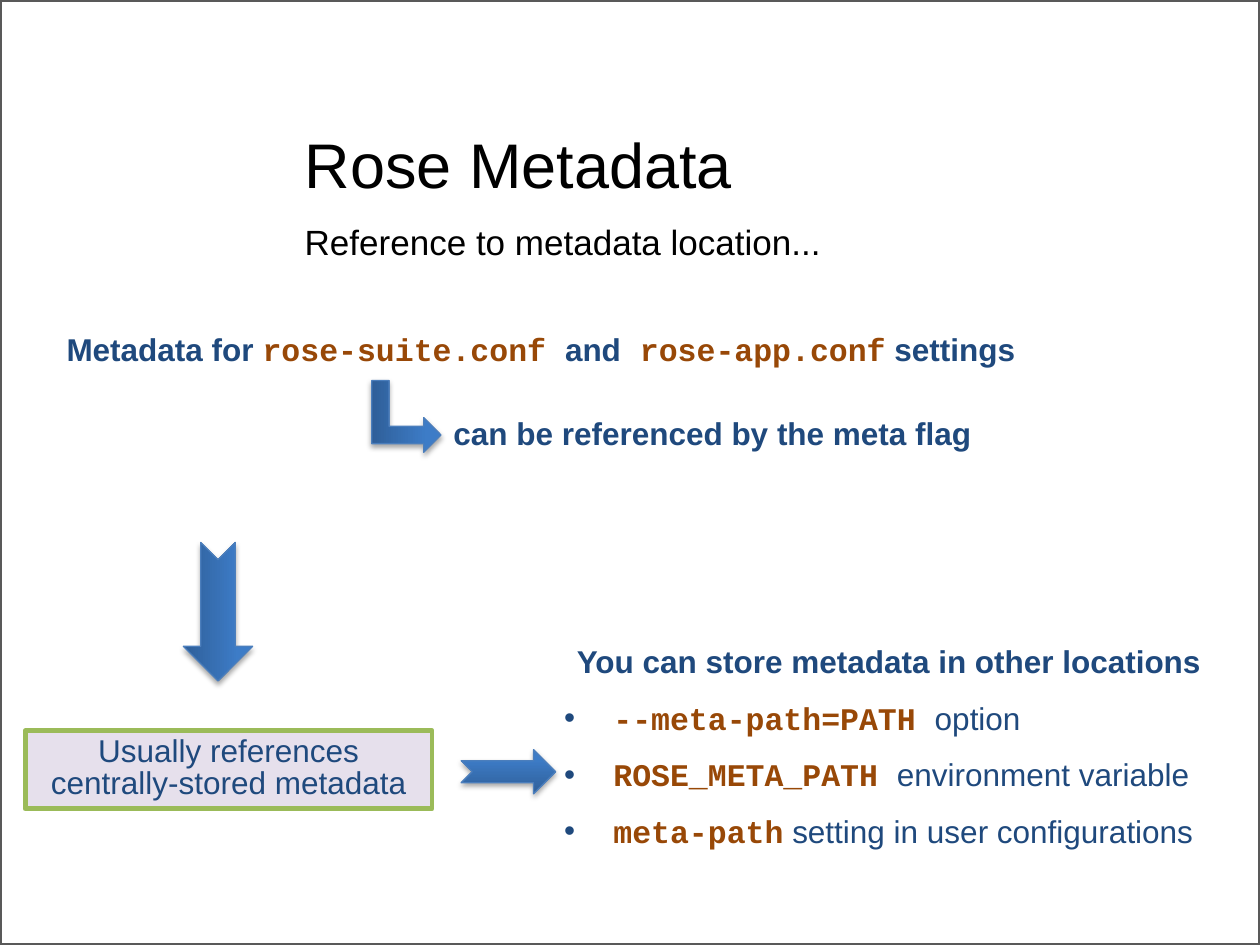
from lxml.etree import SubElement
from pptx import Presentation
from pptx.dml.color import RGBColor
from pptx.enum.shapes import MSO_SHAPE
from pptx.enum.text import MSO_ANCHOR, PP_ALIGN
from pptx.oxml.ns import qn
from pptx.util import Inches, Pt

BLACK, NAVY, BROWN = "000000", "1F497D", "984807"


def color(value):
    """Turn a hex string into a colour."""
    return RGBColor.from_string(value)


def label(text, bold=True):
    """Describe a navy run of body text."""
    return text, "Arial", NAVY, bold


def code(text):
    """Describe a bold brown run of code."""
    return text, "Courier New", BROWN, True


def fill_paragraph(paragraph, runs, size=18, line_spacing=None):
    """Write formatted runs into a paragraph."""
    if line_spacing:
        paragraph.line_spacing = line_spacing
    for text, font_name, hex_color, bold in runs:
        run = paragraph.add_run()
        run.text = text
        run.font.name = font_name
        run.font.size = Pt(size)
        run.font.bold = bold
        run.font.color.rgb = color(hex_color)


def add_text(slide, box, runs, size=18, line_spacing=None, anchor=MSO_ANCHOR.TOP):
    """Add a wrapped text box and return its frame."""
    frame = slide.shapes.add_textbox(*map(Inches, box)).text_frame
    frame.word_wrap = True
    frame.vertical_anchor = anchor
    fill_paragraph(frame.paragraphs[0], runs, size, line_spacing)
    return frame


def add_rectangle(slide, box, line, width, fill=None):
    """Add an outlined rectangle without a shadow."""
    shape = slide.shapes.add_shape(MSO_SHAPE.RECTANGLE, *map(Inches, box))
    shape.shadow.inherit = False
    if fill:
        shape.fill.solid()
        shape.fill.fore_color.rgb = color(fill)
    else:
        shape.fill.background()
    shape.line.color.rgb = color(line)
    shape.line.width = Pt(width)
    return shape


def add_arrow(slide, kind, box, rotation=0):
    """Add a blue gradient arrow with a soft shadow."""
    shape = slide.shapes.add_shape(kind, *map(Inches, box))
    shape.rotation = rotation
    shape.fill.gradient()
    shape.fill.gradient_angle = 90
    stops = shape.fill.gradient_stops
    for stop, position, value in zip(stops, (0, 0.8), ("2F5F99", "3D7CC7")):
        stop.position = position
        stop.color.rgb = color(value)
    shape.line.color.rgb = color("4B7EBC")
    shape.line.width = Pt(0.75)
    shape.shadow.inherit = False
    effects = shape._element.spPr.find(qn("a:effectLst"))
    shadow = SubElement(effects, qn("a:outerShdw"), blurRad=str(Pt(3.1)),
                        dist=str(Pt(1.8)), dir="5400000", rotWithShape="0")
    shadow_color = SubElement(shadow, qn("a:srgbClr"), val=BLACK)
    SubElement(shadow_color, qn("a:alpha"), val="35000")


def add_heading(slide, left, top, width):
    """Add the title and the subtitle."""
    add_text(slide, (left, top, width, 1.02), [("Rose Metadata", "Arial", BLACK, False)],
             36, 0.85, MSO_ANCHOR.BOTTOM)
    subtitle = add_text(slide, (left, top + 1.06, width, 0.55),
                        [("Reference to metadata location...", "Arial", BLACK, False)], 20, 0.9)
    subtitle.margin_top = Inches(0.1)


def add_reference(slide, left, top, width):
    """Add the statement on settings and its bent arrow."""
    add_text(slide, (left, top, width, 0.4),
             [label("Metadata for "), code("rose-suite.conf "), label("and"),
              code(" rose-app.conf"), label(" settings")])
    add_text(slide, (left + 3.07, top + 0.71, 5, 0.36),
             [label("can be referenced by the meta flag")], line_spacing=0.85)
    add_arrow(slide, MSO_SHAPE.BENT_UP_ARROW, (left + 2.51, top + 0.46, 0.57, 0.55), 90)


def add_central_store(slide, left, top, width, height):
    """Add the boxed note on central metadata."""
    shape = add_rectangle(slide, (left, top, width, height), "9BBB59", 2.75, "E6E0EC")
    frame = shape.text_frame
    frame.word_wrap = True
    frame.vertical_anchor = MSO_ANCHOR.TOP
    paragraph = frame.paragraphs[0]
    paragraph.alignment = PP_ALIGN.CENTER
    fill_paragraph(paragraph, [label("Usually references centrally-stored metadata", False)],
                   line_spacing=0.85)


def add_other_locations(slide, left, top, width, height):
    """Add the bulleted list of other metadata locations."""
    frame = add_text(slide, (left, top, width, height),
                     [label("You can store metadata in other locations")], line_spacing=0.85)
    frame.paragraphs[0]._p.get_or_add_pPr().set("marL", str(Inches(0.35)))
    options = [("--meta-path=PATH ", "option"),
               ("ROSE_META_PATH ", "environment variable"),
               ("meta-path", " setting in user configurations")]
    for name, description in options:
        paragraph = frame.add_paragraph()
        properties = paragraph._p.get_or_add_pPr()
        properties.set("marL", str(Inches(0.64)))
        properties.set("indent", str(Inches(-0.39)))
        SubElement(properties, qn("a:buFont"), typeface="Arial")
        SubElement(properties, qn("a:buChar"), char="•")
        fill_paragraph(paragraph, [code(name), label(description, False)], line_spacing=1.5)
        bullet_color = properties.makeelement(qn("a:buClr"), {})
        SubElement(bullet_color, qn("a:srgbClr"), val=NAVY)
        properties.find(qn("a:buFont")).addprevious(bullet_color)


def main():
    """Build and save the slide."""
    presentation = Presentation()
    presentation.slide_width = Inches(10)
    presentation.slide_height = Inches(7.5)
    slide = presentation.slides.add_slide(presentation.slide_layouts[6])
    add_rectangle(slide, (0, 0, 10, 7.5), "595959", 2.25)
    add_heading(slide, 2.32, 0.63, 7.64)
    add_reference(slide, 0.43, 2.57, 9.37)
    add_central_store(slide, 0.2, 5.8, 3.23, 0.62)
    add_arrow(slide, MSO_SHAPE.NOTCHED_RIGHT_ARROW, (1.18, 4.58, 1.1, 0.55), 90)
    add_other_locations(slide, 4.13, 5.09, 5.63, 1.72)
    add_arrow(slide, MSO_SHAPE.NOTCHED_RIGHT_ARROW, (3.66, 5.95, 0.75, 0.35))
    presentation.save("out.pptx")


if __name__ == "__main__":
    main()
